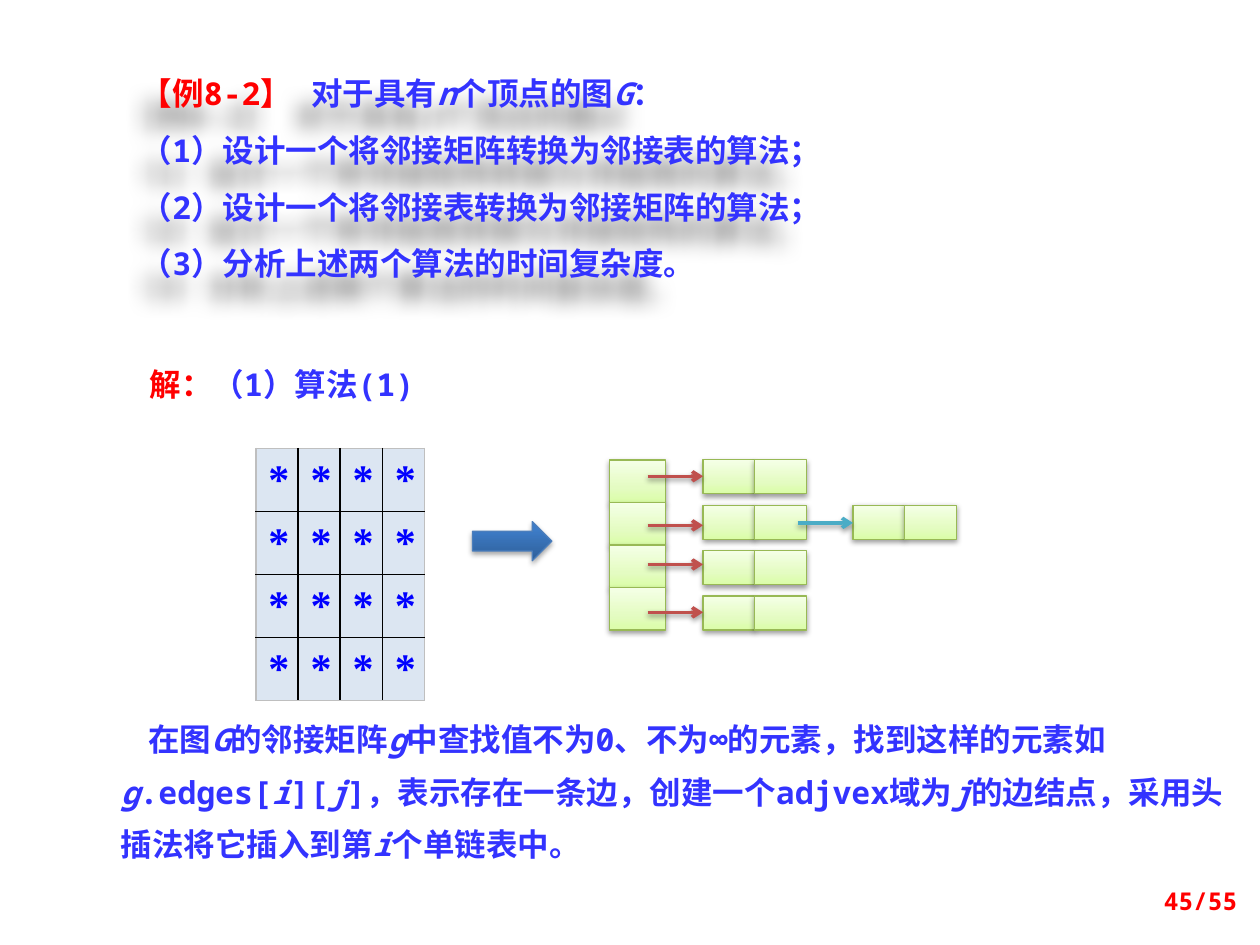
from dataclasses import dataclass

from pptx import Presentation
from pptx.dml.color import RGBColor
from pptx.enum.shapes import MSO_CONNECTOR, MSO_SHAPE
from pptx.enum.text import MSO_ANCHOR, PP_ALIGN
from pptx.oxml import parse_xml
from pptx.oxml.ns import nsdecls
from pptx.util import Inches, Pt

RECT, ARROW = MSO_SHAPE.RECTANGLE, MSO_SHAPE.RIGHT_ARROW
LINE = MSO_CONNECTOR.STRAIGHT
LEFT, CENTER, RIGHT = PP_ALIGN.LEFT, PP_ALIGN.CENTER, PP_ALIGN.RIGHT
TOP, MIDDLE = MSO_ANCHOR.TOP, MSO_ANCHOR.MIDDLE


@dataclass(frozen=True)
class Theme:
    font: str = "Noto Sans Mono"
    serif: str = "Times New Roman"
    body: int = 18
    star: int = 24
    small: int = 14
    red: str = "FF0000"
    blue: str = "3333FF"
    mark: str = "0000FF"
    cell: str = "DCE6F2"
    grid: str = "000000"
    frame: str = "BFBFBF"
    link: str = "C0504D"
    next: str = "4BACC6"
    edge: str = "98B955"
    rim: str = "4B7EBC"
    green: tuple = ((0, "DAFDA7"), (35, "E4FCC2"), (100, "F5FFE7"))
    steel: tuple = ((0, "2F5F99"), (80, "3D7CC7"), (100, "3A7CCB"))


T = Theme()


def rgb(code):
    return RGBColor.from_string(code)


def xml(text):
    return parse_xml(text.replace(">", f" {nsdecls('a')}>", 1))


def add_run(para, text, color, size=T.body, font=T.font, italic=False):
    run = para.add_run()
    run.text = text
    look = run.font
    look.name, look.size, look.bold = font, Pt(size), True
    look.italic = italic
    look.color.rgb = rgb(color)
    run._r.get_or_add_rPr().append(xml(f'<a:ea typeface="{font}"></a:ea>'))


def add_rich(para, text, color, size=T.body):
    """Add runs; every part between underscores is italic."""
    for i, part in enumerate(text.split("_")):
        if part:
            add_run(para, part, color, size, italic=i % 2 == 1)


def add_text(slide, box, paras, space, size=T.body, align=LEFT, anchor=TOP):
    """Add a text box; each paragraph is a list of (text, colour)."""
    shape = slide.shapes.add_textbox(*map(Inches, box))
    frame = shape.text_frame
    frame.word_wrap, frame.vertical_anchor = True, anchor
    for i, parts in enumerate(paras):
        para = frame.add_paragraph() if i else frame.paragraphs[0]
        para.line_spacing, para.alignment = space, align
        for text, color in parts:
            add_rich(para, text, color, size)
    return shape


def add_shadow(shape, alpha=38, blur=3.1, dist=1.6, angle=90):
    shape._element.spPr.append(xml(
        f'<a:effectLst><a:outerShdw blurRad="{Pt(blur)}" dist="{Pt(dist)}" '
        f'dir="{angle * 60000}" rotWithShape="0"><a:srgbClr val="000000">'
        f'<a:alpha val="{alpha * 1000}"/></a:srgbClr></a:outerShdw></a:effectLst>'))


def add_block(slide, kind, box, stops, rim, **shade):
    """Add a shape with a gradient that runs from bottom to top."""
    shape = slide.shapes.add_shape(kind, *map(Inches, box))
    marks = "".join(f'<a:gs pos="{pos * 1000}"><a:srgbClr val="{code}"/></a:gs>'
                    for pos, code in stops)
    shape._element.spPr.append(xml(
        f'<a:gradFill><a:gsLst>{marks}</a:gsLst>'
        '<a:lin ang="16200000" scaled="0"/></a:gradFill>'))
    shape.line.color.rgb, shape.line.width = rgb(rim), Pt(0.75)
    add_shadow(shape, **shade)


def add_link(slide, x, y, color, span=0.44):
    link = slide.shapes.add_connector(
        LINE, Inches(x), Inches(y), Inches(x + span), Inches(y))
    link.line.color.rgb, link.line.width = rgb(color), Pt(2)
    link.line._get_or_add_ln().append(xml('<a:tailEnd type="arrow"></a:tailEnd>'))
    add_shadow(link)


def add_task(slide, box):
    shape = add_text(slide, box, [
        [("【例8-2】 ", T.red), ("对于具有_n_个顶点的图_G_：", T.blue)],
        [("（1）设计一个将邻接矩阵转换为邻接表的算法；", T.blue)],
        [("（2）设计一个将邻接表转换为邻接矩阵的算法；", T.blue)],
        [("（3）分析上述两个算法的时间复杂度。", T.blue)],
    ], 1.5)
    add_shadow(shape, alpha=50, blur=12, dist=16, angle=125)


def add_matrix(slide, box, count=4):
    x, y, w, h = box
    table = slide.shapes.add_table(count, count, *map(Inches, box)).table
    table.first_row = table.horz_banding = False
    for i in range(count):
        table.columns[i].width = Inches(w / count)
        table.rows[i].height = Inches(h / count)
        for j in range(count):
            fill_cell(table.cell(i, j), {
                "L": j == 0, "R": j == count - 1,
                "T": i == 0, "B": i == count - 1})


def fill_cell(cell, sides):
    """Style one cell; sides tells which borders lie on the outer frame."""
    for side, outer in sides.items():
        color = T.frame if outer else T.grid
        cell._tc.get_or_add_tcPr().append(xml(
            f'<a:ln{side} w="{Pt(1)}"><a:solidFill><a:srgbClr val="{color}"/>'
            f'</a:solidFill></a:ln{side}>'))
    cell.fill.solid()
    cell.fill.fore_color.rgb = rgb(T.cell)
    cell.vertical_anchor = MIDDLE
    para = cell.text_frame.paragraphs[0]
    para.alignment = CENTER
    add_run(para, "*", T.mark, T.star, T.serif)


def add_lists(slide, box):
    """Draw the head array with a linked list of nodes beside each head."""
    x, y, w, h = box
    step, high, half = 0.36, 0.27, 0.41
    first, second = x + 0.74, x + 1.93

    def add_node(left, top):
        for i in range(2):
            add_block(slide, RECT, (left + i * half, top, half, high),
                      T.green, T.edge)

    for i in range(4):
        add_block(slide, RECT, (x, y + i * h / 4, 0.44, h / 4), T.green, T.edge)
        add_node(first, y + i * step)
    add_node(second, y + step)
    for drop in (0.13, 0.52, 0.83, 1.21):
        add_link(slide, x + 0.3, y + drop, T.link)
    add_link(slide, second - 0.44, y + 0.5, T.next)


def add_note(slide, box):
    shape = add_text(slide, box, [[(
        "在图_G_的邻接矩阵_g_中查找值不为0、不为∞的元素，找到这样的元素如"
        "_g_.edges[_i_][_j_]，表示存在一条边，创建一个adjvex域为_j_的边结点，"
        "采用头插法将它插入到第_i_个单链表中。", T.blue)]], Pt(30))
    props = shape.text_frame.paragraphs[0]._p.get_or_add_pPr()
    props.set("indent", str(Inches(0.22)))


def main():
    deck = Presentation()
    deck.slide_width, deck.slide_height = Inches(10), Inches(7.5)
    slide = deck.slides.add_slide(deck.slide_layouts[6])
    add_task(slide, (1.02, 0.39, 6.88, 1.87))
    add_text(slide, (1.09, 2.73, 2.66, 0.48),
             [[("解：", T.red), ("（1）算法(1)", T.blue)]], Pt(30))
    add_matrix(slide, (2.03, 3.56, 1.34, 1.6))
    add_block(slide, ARROW, (3.75, 4.14, 0.63, 0.31), T.steel, T.rim,
              alpha=35, dist=1.8)
    add_lists(slide, (4.84, 3.65, 2.74, 1.35))
    add_note(slide, (0.86, 5.55, 9.14, 1.36))
    add_text(slide, (7.59, 6.95, 2.33, 0.4), [[("45/55", T.red)]], 1.0,
             T.small, RIGHT, MIDDLE)
    deck.save("out.pptx")


if __name__ == "__main__":
    main()
